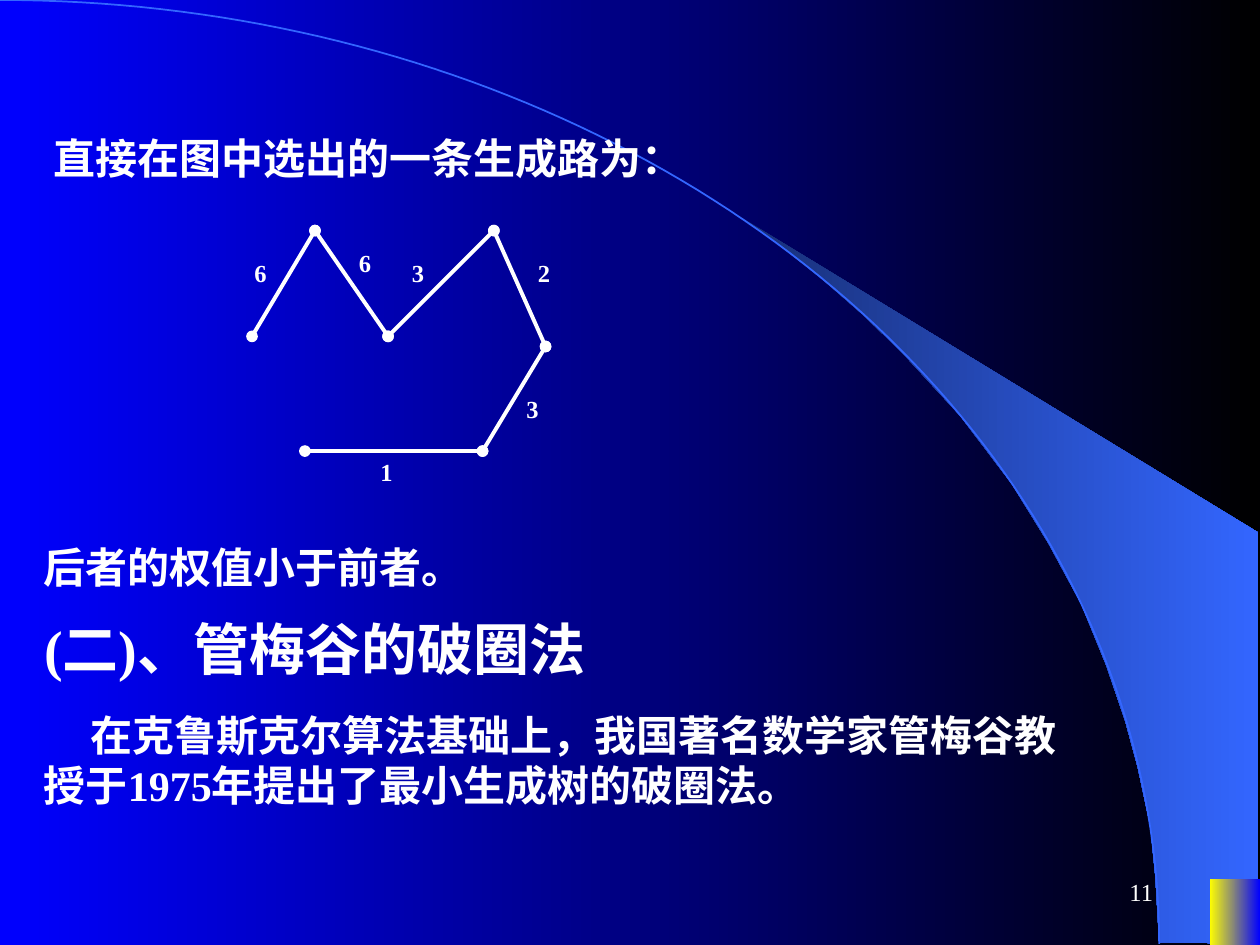
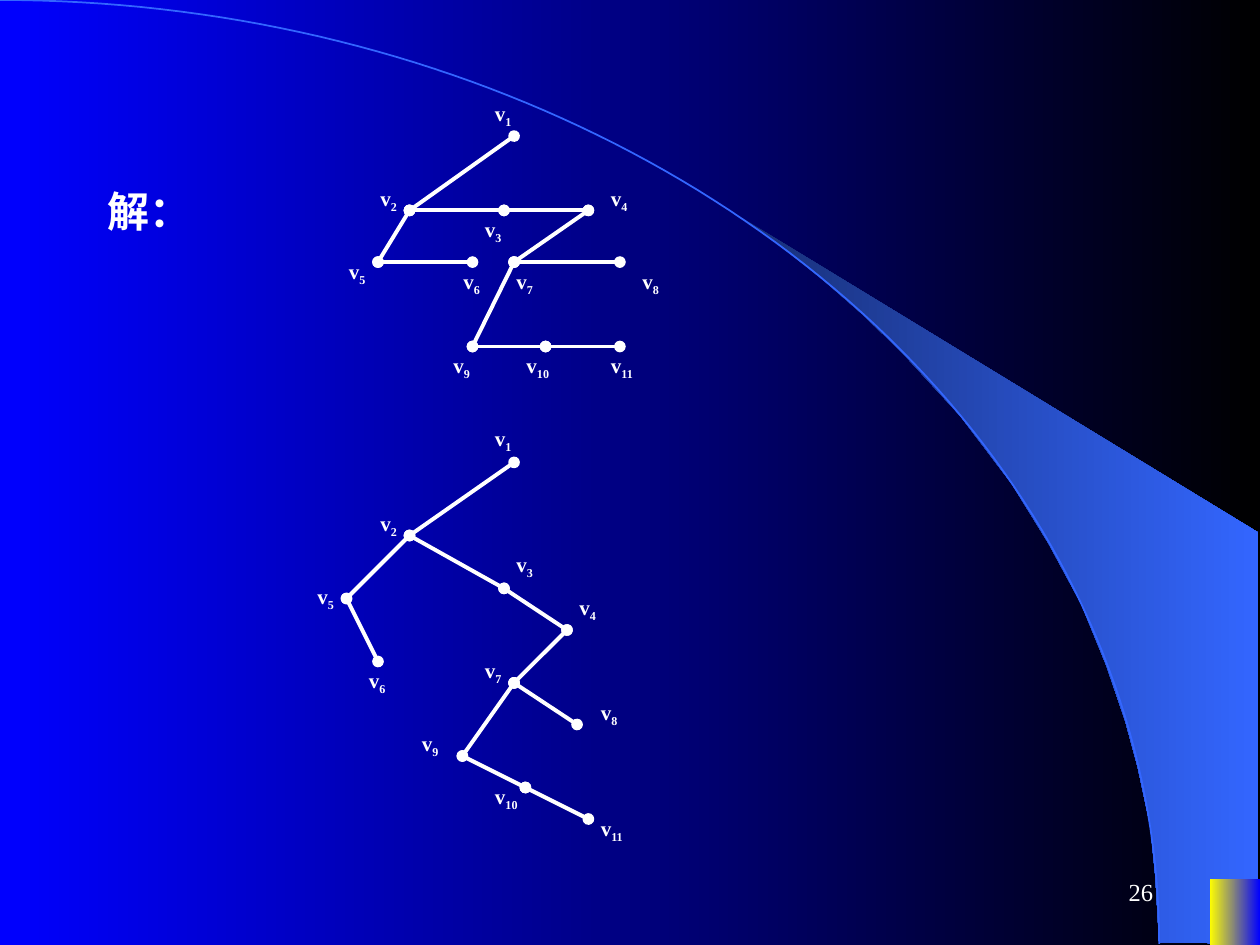
"""Builds two slides about spanning trees on a shared blue background."""
from dataclasses import dataclass
from math import cos, pi, sin
from typing import NamedTuple

from lxml.etree import SubElement
from pptx import Presentation
from pptx.dml.color import RGBColor
from pptx.dml.fill import FillFormat
from pptx.enum.shapes import MSO_CONNECTOR as Connector, MSO_SHAPE as Preset
from pptx.enum.text import MSO_ANCHOR as Anchor, MSO_AUTO_SIZE as AutoSize, PP_ALIGN as Align
from pptx.oxml.ns import qn
from pptx.shapes.autoshape import Shape
from pptx.slide import Slide
from pptx.text.text import TextFrame
from pptx.util import Inches, Pt

FONT = "Times New Roman"
WHITE, BLACK, BLUE, YELLOW = "FFFFFF", "000000", "0000FF", "FFFF00"
NAVY, SKY = "182F76", "3366FF"
TITLE_ONLY = 5
ARC_WIDTH, ARC_HEIGHT, ARC_STEPS = 9.2, 7.49, 90


class Point(NamedTuple):
    x: float
    y: float


class Box(NamedTuple):
    left: float
    top: float
    width: float
    height: float


class Weight(NamedTuple):
    text: str
    left: float
    top: float


class Vertex(NamedTuple):
    point: Point
    label: Point


@dataclass
class TextStyle:
    size: float = 24
    bold: bool = True
    align: Align = Align.LEFT
    anchor: Anchor = Anchor.TOP
    indent: float = 0


HEADING = TextStyle(size=32)
BODY = TextStyle()
INDENTED = TextStyle(indent=0.37)
WEIGHT = TextStyle(size=14)
VERTEX_NAME = TextStyle(size=12)
PAGE_NUMBER = TextStyle(size=14, bold=False, align=Align.RIGHT, anchor=Anchor.MIDDLE)

SWOOSH = [
    Point(9.2, 7.48), Point(9.99, 7.49), Point(9.99, 4.23), Point(5.89, 1.73),
    Point(6.24, 1.99), Point(6.53, 2.22), Point(6.85, 2.5), Point(7.16, 2.8),
    Point(7.62, 3.3), Point(8.03, 3.84), Point(8.32, 4.31), Point(8.58, 4.79),
    Point(8.78, 5.28), Point(8.93, 5.72), Point(9.03, 6.09), Point(9.13, 6.56),
    Point(9.17, 6.96),
]

SPANNING_PATH = [
    Point(2, 2.67), Point(2.5, 1.83), Point(3.08, 2.67), Point(3.92, 1.83),
    Point(4.33, 2.75), Point(3.83, 3.58), Point(2.42, 3.58),
]
PATH_WEIGHTS = [
    Weight("6", 1.92, 2), Weight("6", 2.75, 1.92), Weight("3", 3.17, 2),
    Weight("2", 4.17, 2), Weight("3", 4.08, 3.08), Weight("1", 2.92, 3.58),
]

TREE_EDGES = [
    (1, 2), (2, 3), (3, 4), (2, 5), (5, 6),
    (4, 7), (7, 8), (7, 9), (9, 10), (10, 11),
]
UPPER_TREE = [
    Vertex(Point(4.08, 1.08), Point(3.83, 0.75)),
    Vertex(Point(3.25, 1.67), Point(2.92, 1.42)),
    Vertex(Point(4, 1.67), Point(3.75, 1.67)),
    Vertex(Point(4.67, 1.67), Point(4.75, 1.42)),
    Vertex(Point(3, 2.08), Point(2.67, 2)),
    Vertex(Point(3.75, 2.08), Point(3.58, 2.08)),
    Vertex(Point(4.08, 2.08), Point(4, 2.08)),
    Vertex(Point(4.92, 2.08), Point(5, 2.08)),
    Vertex(Point(3.75, 2.75), Point(3.5, 2.75)),
    Vertex(Point(4.33, 2.75), Point(4.08, 2.75)),
    Vertex(Point(4.92, 2.75), Point(4.75, 2.75)),
]
LOWER_TREE = [
    Vertex(Point(4.08, 3.67), Point(3.83, 3.33)),
    Vertex(Point(3.25, 4.25), Point(2.92, 4)),
    Vertex(Point(4, 4.67), Point(4, 4.33)),
    Vertex(Point(4.5, 5), Point(4.5, 4.67)),
    Vertex(Point(2.75, 4.75), Point(2.42, 4.58)),
    Vertex(Point(3, 5.25), Point(2.83, 5.25)),
    Vertex(Point(4.08, 5.42), Point(3.75, 5.17)),
    Vertex(Point(4.58, 5.75), Point(4.67, 5.5)),
    Vertex(Point(3.67, 6), Point(3.25, 5.75)),
    Vertex(Point(4.17, 6.25), Point(3.83, 6.17)),
    Vertex(Point(4.67, 6.5), Point(4.67, 6.42)),
]


def rgb(hex_code: str) -> RGBColor:
    return RGBColor.from_string(hex_code)


def fill_gradient(fill: FillFormat, start: str, end: str) -> None:
    fill.gradient()
    fill.gradient_angle = 0
    for stop, colour in zip(fill.gradient_stops, (start, end)):
        stop.color.rgb = rgb(colour)


def write(frame: TextFrame, text: str, style: TextStyle, subscript: str = "") -> None:
    frame.word_wrap = True
    frame.auto_size = AutoSize.NONE
    frame.vertical_anchor = style.anchor
    paragraph = frame.paragraphs[0]
    paragraph.alignment = style.align
    if style.indent:
        paragraph._p.get_or_add_pPr().set("indent", str(Inches(style.indent)))
    for part in filter(None, (text, subscript)):
        run = paragraph.add_run()
        run.text = part
        run.font.name = FONT
        run.font.size = Pt(style.size)
        run.font.bold = style.bold
        run.font.color.rgb = rgb(WHITE)
    if subscript:
        run._r.get_or_add_rPr().set("baseline", "-25000")


def add_text(slide: Slide, box: Box, text: str, style: TextStyle, subscript: str = "") -> None:
    shape = slide.shapes.add_textbox(*map(Inches, box))
    write(shape.text_frame, text, style, subscript)


def set_title(slide: Slide, box: Box, text: str, style: TextStyle) -> None:
    title = slide.shapes.title
    title.left, title.top, title.width, title.height = map(Inches, box)
    write(title.text_frame, text, style)


def add_outline(slide: Slide, points: list[Point], close: bool) -> Shape:
    corners = [(Inches(x), Inches(y)) for x, y in points]
    builder = slide.shapes.build_freeform(*corners[0])
    builder.add_line_segments(corners[1:], close=close)
    shape = builder.convert_to_shape()
    shape.shadow.inherit = False
    return shape


def add_edge(slide: Slide, start: Point, end: Point) -> None:
    edge = slide.shapes.add_connector(Connector.STRAIGHT, *map(Inches, (*start, *end)))
    edge.line.color.rgb = rgb(WHITE)
    edge.line.width = Pt(2.25)
    properties = edge._element.spPr
    line = properties.find(qn("a:ln"))
    for tag in ("a:headEnd", "a:tailEnd"):
        SubElement(line, qn(tag), type="oval")
    SubElement(properties, qn("a:effectLst"))


def add_tree(slide: Slide, vertices: list[Vertex]) -> None:
    for start, end in TREE_EDGES:
        add_edge(slide, vertices[start - 1].point, vertices[end - 1].point)
    for number, vertex in enumerate(vertices, start=1):
        width = 0.35 if number < 10 else 0.58
        add_text(slide, Box(*vertex.label, width, 0.33), "v", VERTEX_NAME, str(number))


def add_themed_slide(presentation: Presentation, number: int) -> Slide:
    slide = presentation.slides.add_slide(presentation.slide_layouts[TITLE_ONLY])
    fill_gradient(slide.background.fill, BLUE, BLACK)

    swoosh = add_outline(slide, SWOOSH, close=True)
    fill_gradient(swoosh.fill, NAVY, SKY)
    swoosh.line.fill.background()

    angles = [pi / 2 * step / ARC_STEPS for step in range(ARC_STEPS + 1)]
    arc_points = [Point(ARC_WIDTH * sin(a), ARC_HEIGHT * (1 - cos(a))) for a in angles]
    arc = add_outline(slide, arc_points, close=False)
    arc.fill.background()
    arc.line.color.rgb = rgb(SKY)
    arc.line.width = Pt(1)

    corner = slide.shapes.add_shape(Preset.RECTANGLE, *map(Inches, Box(9.6, 6.98, 0.4, 0.52)))
    corner.shadow.inherit = False
    fill_gradient(corner.fill, YELLOW, BLUE)
    corner.line.fill.background()

    add_text(slide, Box(7.17, 6.83, 2.08, 0.5), str(number), PAGE_NUMBER)
    return slide


def build_path_slide(presentation: Presentation) -> None:
    slide = add_themed_slide(presentation, 11)
    add_text(slide, Box(0.33, 1, 8.25, 0.5), "直接在图中选出的一条生成路为：", BODY)
    for start, end in zip(SPANNING_PATH, SPANNING_PATH[1:]):
        add_edge(slide, start, end)
    for weight in PATH_WEIGHTS:
        add_text(slide, Box(weight.left, weight.top, 0.43, 0.34), weight.text, WEIGHT)
    add_text(slide, Box(0.25, 4.25, 8.25, 0.5), "后者的权值小于前者。", BODY)
    set_title(slide, Box(0.25, 4.83, 7.33, 0.64), "(二)、管梅谷的破圈法", HEADING)
    add_text(
        slide,
        Box(0.25, 5.58, 8.25, 0.9),
        "在克鲁斯克尔算法基础上，我国著名数学家管梅谷教授于1975年提出了最小生成树的破圈法。",
        INDENTED,
    )


def build_solution_slide(presentation: Presentation) -> None:
    slide = add_themed_slide(presentation, 26)
    set_title(slide, Box(0.75, 1.42, 8.58, 0.5), "解：", BODY)
    for tree in (UPPER_TREE, LOWER_TREE):
        add_tree(slide, tree)


def main() -> None:
    presentation = Presentation()
    presentation.slide_width = Inches(10)
    presentation.slide_height = Inches(7.5)
    build_path_slide(presentation)
    build_solution_slide(presentation)
    presentation.save("out.pptx")


if __name__ == "__main__":
    main()
